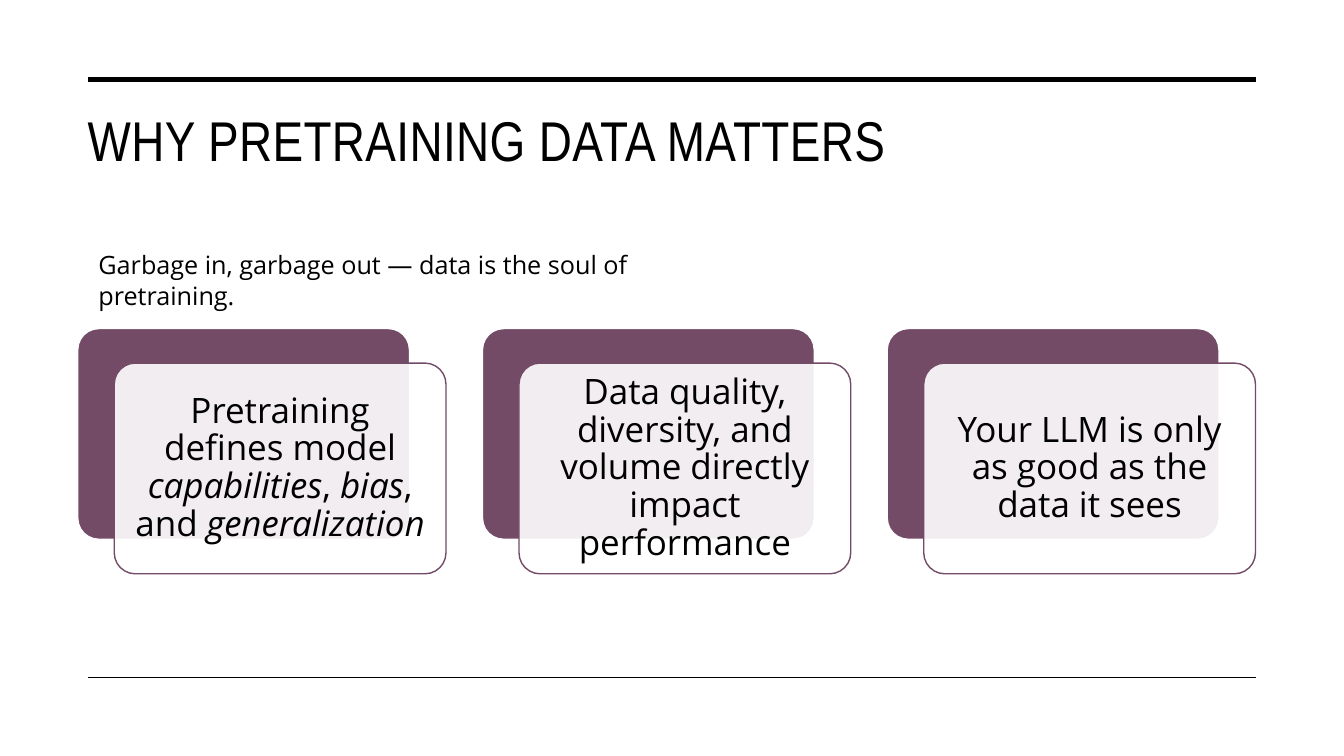
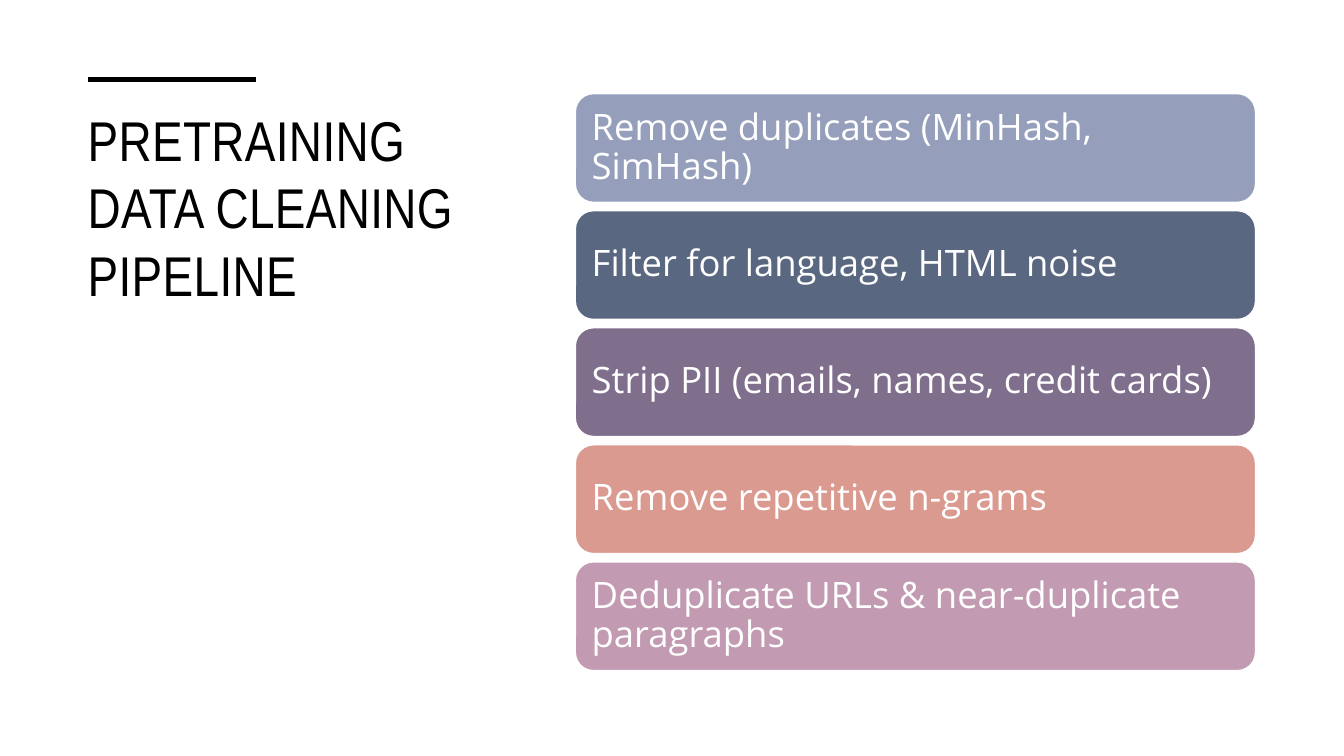
from lxml import etree
from pptx import Presentation
from pptx.dml.color import RGBColor
from pptx.enum.shapes import MSO_CONNECTOR, MSO_SHAPE
from pptx.enum.text import MSO_ANCHOR, PP_ALIGN
from pptx.oxml.ns import qn
from pptx.util import Cm, Pt

STRAIGHT = MSO_CONNECTOR.STRAIGHT
ROUNDED = MSO_SHAPE.ROUNDED_RECTANGLE
TOP, MIDDLE = MSO_ANCHOR.TOP, MSO_ANCHOR.MIDDLE
LEFT, CENTER = PP_ALIGN.LEFT, PP_ALIGN.CENTER

BLACK, WHITE, PLUM = "000000", "FFFFFF", "734B67"
TITLE_FONT = {"name": "Arial Narrow", "size": Pt(40)}
SUBTITLE_FONT = {"name": "Open Sans", "size": Pt(18)}
CARD_FONT = {"name": "Open Sans", "size": Pt(25)}
STEP_FONT = {"name": "Open Sans", "size": Pt(26)}

RULE_LEFT, RULE_RIGHT, RULE_TOP, RULE_BOTTOM = 2.23, 31.65, 2.01, 17.07

CARD_LEFT, CARD_TOP, CARD_WIDTH, CARD_HEIGHT = 1.96, 8.28, 8.36, 5.31
CARD_PITCH, FRONT_RIGHT, FRONT_DOWN = 10.2, 0.92, 0.87
# Each card is a list of (text, italic) pieces.
CARDS = [
    [("Pretraining defines model ", False), ("capabilities", True), (", ", False),
     ("bias", True), (", and ", False), ("generalization", True)],
    [("Data quality, diversity, and volume directly impact performance", False)],
    [("Your LLM is only as good as the data it sees", False)],
]

STEP_LEFT, STEP_TOP, STEP_WIDTH, STEP_HEIGHT, STEP_PITCH = 14.5, 2.36, 17.14, 2.74, 2.95
STEPS = [
    ("Remove duplicates (MinHash, SimHash)", "959EBB"),
    ("Filter for language, HTML noise", "596781"),
    ("Strip PII (emails, names, credit cards)", "7F6E8C"),
    ("Remove repetitive n-grams", "DB9A8F"),
    ("Deduplicate URLs & near-duplicate paragraphs", "C29AB1"),
]


def color(hex_string):
    return RGBColor.from_string(hex_string)


def set_all(target, values):
    for name, value in values.items():
        setattr(target, name, value)


class Painter:
    """Holds the deck style and the slide being drawn."""

    def __init__(self):
        self.deck = Presentation()
        self.deck.slide_width, self.deck.slide_height = Cm(33.87), Cm(19.05)
        self.page = None

    def new_page(self):
        self.page = self.deck.slides.add_slide(self.deck.slide_layouts[6])

    def rule(self, top, right=RULE_RIGHT, weight=3.5):
        line = self.page.shapes.add_connector(
            STRAIGHT, Cm(RULE_LEFT), Cm(top), Cm(right), Cm(top))
        line.line.color.rgb = color(BLACK)
        line.line.width = Pt(weight)
        etree.SubElement(line._element.spPr, qn("a:effectLst"))

    def fill_text(self, shape, pieces, font, ink=BLACK, align=LEFT, spacing=1.0):
        """Fills a shape with one paragraph of (text, italic) pieces."""
        shape.text_frame.word_wrap = True
        para = shape.text_frame.paragraphs[0]
        set_all(para, {"alignment": align, "line_spacing": spacing})
        for text, italic in pieces:
            span = para.add_run()
            span.text = text
            set_all(span.font, {**font, "italic": italic})
            span.font.color.rgb = color(ink)
        return para

    def text(self, text, left, top, width, height, font):
        box = self.page.shapes.add_textbox(Cm(left), Cm(top), Cm(width), Cm(height))
        box.text_frame.vertical_anchor = TOP
        return self.fill_text(box, [(text, False)], font)

    def title(self, text, width, height):
        para = self.text(text, 1.96, 2.54, width, height, TITLE_FONT)
        para.runs[0]._r.get_or_add_rPr().set("spc", "30")

    def panel(self, left, top, width, height, fill, outline=WHITE, inset=0.25):
        panel = self.page.shapes.add_shape(
            ROUNDED, Cm(left), Cm(top), Cm(width), Cm(height))
        panel.shadow.inherit = False
        panel.fill.solid()
        panel.fill.fore_color.rgb = color(fill)
        panel.line.color.rgb = color(outline)
        panel.line.width = Pt(1)
        sides = ("margin_left", "margin_top", "margin_right", "margin_bottom")
        set_all(panel.text_frame, {side: Cm(inset) for side in sides})
        panel.text_frame.vertical_anchor = MIDDLE
        return panel

    def card(self, left, pieces):
        """Draws a plum panel with a translucent white panel over it."""
        size = CARD_WIDTH, CARD_HEIGHT
        back = self.panel(left, CARD_TOP, *size, PLUM)
        front = self.panel(left + FRONT_RIGHT, CARD_TOP + FRONT_DOWN, *size, WHITE, PLUM)
        for panel in (back, front):
            panel.adjustments[0] = 0.1
        tint = front._element.spPr.find(qn("a:solidFill"))[0]
        etree.SubElement(tint, qn("a:alpha"), val="90000")
        self.fill_text(front, pieces, CARD_FONT, align=CENTER, spacing=0.9)

    def step(self, top, text, fill):
        panel = self.panel(STEP_LEFT, top, STEP_WIDTH, STEP_HEIGHT, fill, inset=0.28)
        self.fill_text(panel, [(text, False)], STEP_FONT, WHITE, spacing=0.9)


def draw_why_data_matters(painter):
    painter.new_page()
    painter.rule(RULE_TOP)
    painter.rule(RULE_BOTTOM, weight=1)
    painter.title("WHY PRETRAINING DATA MATTERS", 29.69, 3.63)
    for index, pieces in enumerate(CARDS):
        painter.card(CARD_LEFT + index * CARD_PITCH, pieces)
    painter.text("Garbage in, garbage out — data is the soul of pretraining.",
                 2.23, 6.17, 16.1, 1.02, SUBTITLE_FONT)


def draw_cleaning_pipeline(painter):
    painter.new_page()
    painter.title("PRETRAINING DATA CLEANING PIPELINE", 10.87, 11.05)
    painter.rule(RULE_TOP, right=6.45)
    for index, (text, fill) in enumerate(STEPS):
        painter.step(STEP_TOP + index * STEP_PITCH, text, fill)


def main():
    painter = Painter()
    draw_why_data_matters(painter)
    draw_cleaning_pipeline(painter)
    painter.deck.save("out.pptx")


if __name__ == "__main__":
    main()
